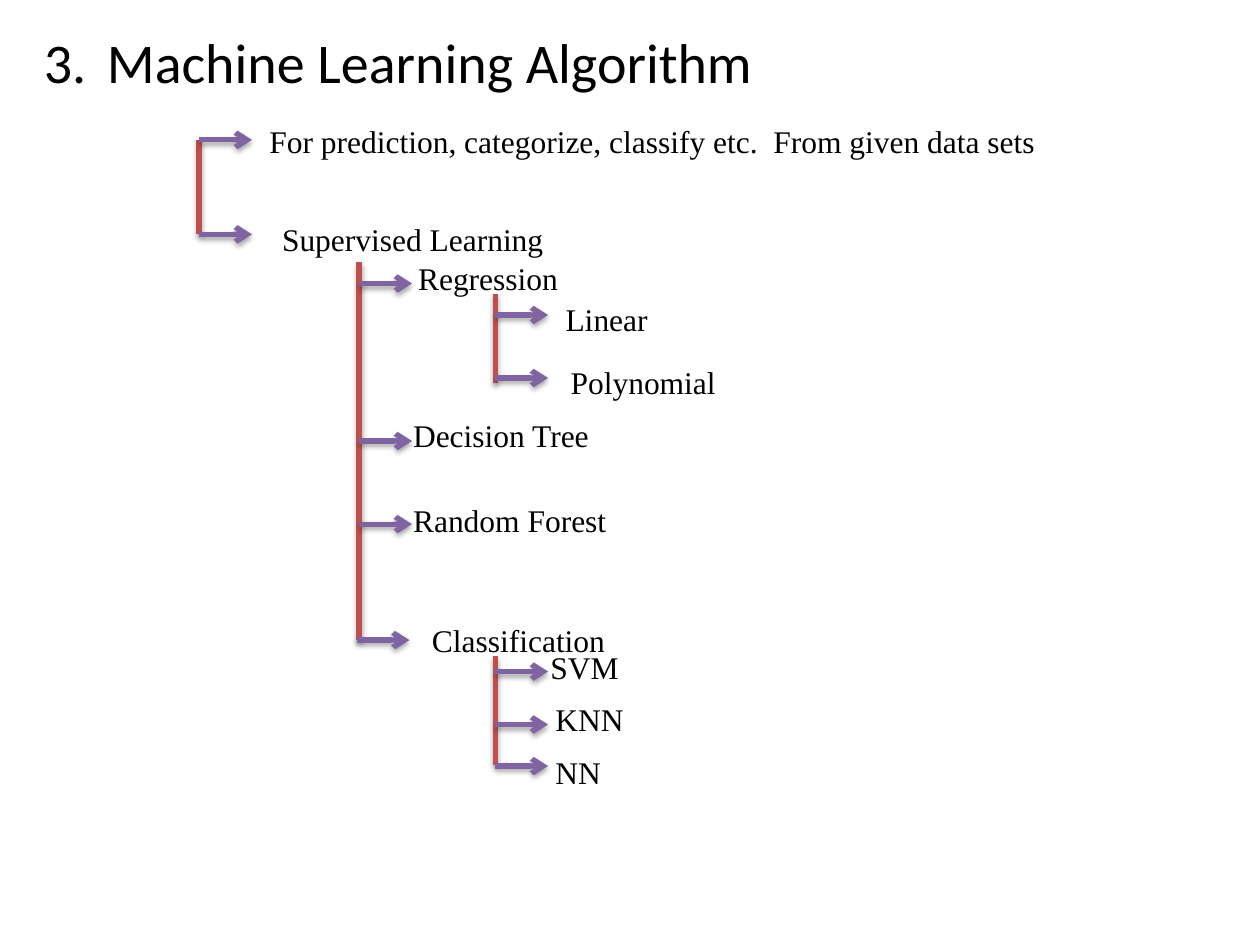
from lxml import etree
from pptx import Presentation
from pptx import util as u
from pptx.dml.color import RGBColor
from pptx.enum import shapes, text
from pptx.oxml.ns import qn

BLACK, TRUNK_RED, TWIG_PURPLE = "000000", "C0504D", "8064A2"
TWIG_LENGTH = 0.42
LABEL_HEIGHT = 0.4

# Each branch: left, top, trunk height, then its entries as
# (twig left, twig top, label, label left, label top, label width),
# all relative to the top of the trunk.
BRANCHES = [
    (1.58, 1.11, 0.75, [
        (0, 0, "For prediction, categorize, classify etc.  From given data sets", 0.46, -0.19, 6.54),
        (0, 0.75, "Supervised Learning", 0.56, 0.59, 3.46),
    ]),
    (2.85, 2.08, 3, [
        (0, 0.17, "Regression", 0.37, -0.07, 1.73),
        (0, 1.42, "Decision Tree", 0.33, 1.17, 1.81),
        (0, 2.08, "Random Forest", 0.33, 1.85, 1.81),
        (-0.02, 3, "Classification", 0.48, 2.8, 1.81),
    ]),
    (3.93, 2.33, 0.71, [
        (0, 0.17, "Linear", 0.46, 0, 1.21),
        (0, 0.67, "Polynomial", 0.5, 0.5, 1.42),
    ]),
    (3.93, 5.21, 0.86, [
        (0, 0.12, "SVM", 0.34, -0.12, 1.21),
        (0, 0.54, "KNN", 0.38, 0.3, 1.21),
        (0, 0.87, "NN", 0.38, 0.72, 1.21),
    ]),
]


def color(hex_code):
    return RGBColor.from_string(hex_code)


def add_label(slide, words, left, top, width, height, font="Times New Roman", size=18):
    label = slide.shapes.add_textbox(*map(u.Inches, (left, top, width, height)))
    frame = label.text_frame
    frame.word_wrap = True
    frame.vertical_anchor = text.MSO_ANCHOR.TOP
    frame.text = words
    run_font = frame.paragraphs[0].runs[0].font
    run_font.name = font
    run_font.size = u.Pt(size)
    run_font.color.rgb = color(BLACK)


def add_shadow(line):
    """Give the line a soft shadow straight below it."""
    effects = etree.SubElement(line._element.spPr, qn("a:effectLst"))
    shadow = etree.SubElement(effects, qn("a:outerShdw"), blurRad=str(u.Pt(3.1)),
                              dist=str(u.Pt(1.8)), dir="5400000", rotWithShape="0")
    tint = etree.SubElement(shadow, qn("a:srgbClr"), val=BLACK)
    etree.SubElement(tint, qn("a:alpha"), val="35000")


def add_line(slide, left, top, width, height, hex_code, arrow=False):
    line = slide.shapes.add_connector(
        shapes.MSO_CONNECTOR.STRAIGHT,
        *map(u.Inches, (left, top, left + width, top + height)))
    line.line.color.rgb = color(hex_code)
    line.line.width = u.Pt(3)
    if arrow:
        etree.SubElement(line.line._get_or_add_ln(), qn("a:tailEnd"), type="arrow")
    add_shadow(line)


def add_branch(slide, left, top, height, entries):
    """Draw a trunk with an arrow and a label for each entry."""
    add_line(slide, left, top, 0, height, TRUNK_RED)
    for twig_left, twig_top, words, label_left, label_top, label_width in entries:
        add_line(slide, left + twig_left, top + twig_top, TWIG_LENGTH, 0, TWIG_PURPLE, arrow=True)
        add_label(slide, words, left + label_left, top + label_top, label_width, LABEL_HEIGHT)


def main():
    deck = Presentation()
    deck.slide_width, deck.slide_height = u.Inches(10), u.Inches(7.5)
    slide = deck.slides.add_slide(deck.slide_layouts[6])
    add_label(slide, "3.\tMachine Learning Algorithm", 0.25, 0.17, 9.25, 7.17, "Calibri", 32)
    for branch in BRANCHES:
        add_branch(slide, *branch)
    deck.save("out.pptx")


if __name__ == "__main__":
    main()
